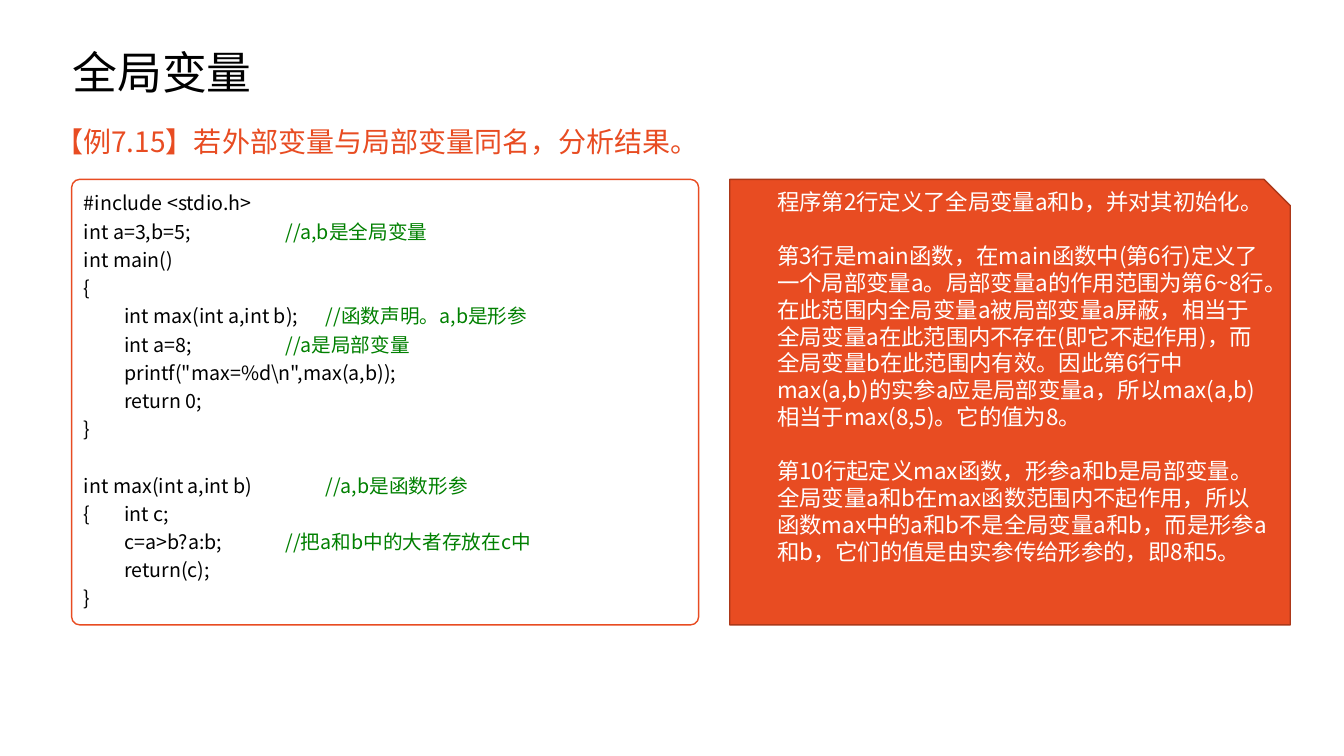
from dataclasses import dataclass
from typing import Optional

from lxml import etree
from pptx import Presentation
from pptx import util as u
from pptx.dml.color import RGBColor
from pptx.enum import shapes, text
from pptx.oxml import ns

WIDTH, HEIGHT = 13.33, 7.5
FONT = "Noto Sans CJK SC"
BLACK, WHITE, GREEN = "000000", "FFFFFF", "008000"
ORANGE, RUST = "E84C22", "AC3819"
TAB_STEP, TAB_COUNT = 0.4, 6


@dataclass(frozen=True)
class Area:
    left: float
    top: float
    width: float
    height: float

    def lengths(self) -> tuple:
        return (u.Inches(self.left * WIDTH / 100), u.Inches(self.top * HEIGHT / 100),
                u.Inches(self.width * WIDTH / 100), u.Inches(self.height * HEIGHT / 100))


@dataclass(frozen=True)
class Span:
    words: str
    color: str


@dataclass(frozen=True)
class Para:
    spans: tuple[Span, ...]
    before: float = 0


@dataclass(frozen=True)
class Style:
    size: float
    spacing: float = 1.0
    anchor: text.MSO_ANCHOR = text.MSO_ANCHOR.TOP
    tabs: bool = False
    hanging: float = 0


@dataclass(frozen=True)
class Panel:
    area: Area
    kind: shapes.MSO_SHAPE
    corner: float
    fill: str
    line: str


def rgb(color: str) -> RGBColor:
    return RGBColor.from_string(color)


def code(line: str, comment: Optional[str] = None, before: float = 0) -> Para:
    spans = (Span(line, BLACK),)
    if comment:
        spans += (Span(comment, GREEN),)
    return Para(spans, before)


def plain(words: str, color: str, before: float = 0) -> Para:
    return Para((Span(words, color),), before)


def add_tabs(properties) -> None:
    tabs = etree.SubElement(properties, ns.qn("a:tabLst"))
    for number in range(1, TAB_COUNT + 1):
        tab = etree.SubElement(tabs, ns.qn("a:tab"))
        tab.set("pos", str(u.Inches(number * TAB_STEP)))
        tab.set("algn", "l")


def write(box, paras: list[Para], style: Style) -> None:
    frame = box.text_frame
    frame.word_wrap = True
    frame.vertical_anchor = style.anchor
    for index, para in enumerate(paras):
        paragraph = frame.add_paragraph() if index else frame.paragraphs[0]
        paragraph.alignment = text.PP_ALIGN.LEFT
        paragraph.line_spacing = style.spacing
        if para.before:
            paragraph.space_before = u.Pt(para.before)
        properties = paragraph._p.get_or_add_pPr()
        if style.hanging:
            properties.set("marL", str(u.Inches(style.hanging)))
            properties.set("indent", str(-u.Inches(style.hanging)))
        if style.tabs:
            add_tabs(properties)
        for span in para.spans:
            run = paragraph.add_run()
            run.text = span.words
            run.font.size = u.Pt(style.size)
            run.font.name = FONT
            run.font.color.rgb = rgb(span.color)
            east_asian = etree.SubElement(run._r.get_or_add_rPr(), ns.qn("a:ea"))
            east_asian.set("typeface", FONT)


def add_panel(page, panel: Panel):
    shape = page.shapes.add_shape(panel.kind, *panel.area.lengths())
    shape.adjustments[0] = panel.corner
    shape.shadow.inherit = False
    shape.fill.solid()
    shape.fill.fore_color.rgb = rgb(panel.fill)
    shape.line.color.rgb = rgb(panel.line)
    shape.line.width = u.Pt(1)
    return shape


def add_text(page, area: Area, paras: list[Para], style: Style) -> None:
    write(page.shapes.add_textbox(*area.lengths()), paras, style)


CODE_PANEL = Panel(Area(5.33, 23.73, 46.65, 58.93),
                   shapes.MSO_SHAPE.ROUNDED_RECTANGLE, 0.018, WHITE, ORANGE)
NOTE_PANEL = Panel(Area(54.3, 23.73, 41.7, 58.93),
                   shapes.MSO_SHAPE.SNIP_1_RECTANGLE, 0.059, ORANGE, RUST)

PROGRAM = [
    code("#include <stdio.h>"),
    code("int a=3,b=5;\t\t\t", "//a,b是全局变量"),
    code("int main()"),
    code("{"),
    code("\tint max(int a,int b);\t", "//函数声明。a,b是形参"),
    code("\tint a=8;\t\t\t", "//a是局部变量"),
    code("\tprintf(\"max=%d\\n\",max(a,b));"),
    code("\treturn 0;"),
    code("}"),
    code("int max(int a,int b)\t\t", "//a,b是函数形参", before=20.16),
    code("{\tint c;"),
    code("\tc=a>b?a:b;\t\t", "//把a和b中的大者存放在c中"),
    code("\treturn(c);"),
    code("}"),
]

NOTES = [
    plain("程序第2行定义了全局变量a和b，并对其初始化。", WHITE),
    plain("第3行是main函数，在main函数中(第6行)定义了一个局部变量a。"
          "局部变量a的作用范围为第6~8行。在此范围内全局变量a被局部变量a屏蔽，"
          "相当于全局变量a在此范围内不存在(即它不起作用)，而全局变量b在此范围内有效。"
          "因此第6行中max(a,b)的实参a应是局部变量a，所以max(a,b)相当于max(8,5)。"
          "它的值为8。", WHITE, before=19.2),
    plain("第10行起定义max函数，形参a和b是局部变量。全局变量a和b在max函数范围内不起作用，"
          "所以函数max中的a和b不是全局变量a和b，而是形参a和b，"
          "它们的值是由实参传给形参的，即8和5。", WHITE, before=19.2),
]


def main() -> None:
    deck = Presentation()
    deck.slide_width, deck.slide_height = u.Inches(WIDTH), u.Inches(HEIGHT)
    page = deck.slides.add_slide(deck.slide_layouts[6])
    add_text(page, Area(4.65, 0.27, 86.25, 19.33), [plain("全局变量", BLACK)],
             Style(32, 0.9, text.MSO_ANCHOR.MIDDLE))
    add_text(page, Area(3.38, 14.93, 90, 8),
             [plain("【例7.15】若外部变量与局部变量同名，分析结果。", ORANGE)],
             Style(20, 1.2, hanging=0.1))
    write(add_panel(page, CODE_PANEL), PROGRAM, Style(14, 1.2, tabs=True))
    add_panel(page, NOTE_PANEL)
    add_text(page, Area(57.08, 24.27, 38.25, 51.6), NOTES, Style(16))
    deck.save("out.pptx")


if __name__ == "__main__":
    main()
